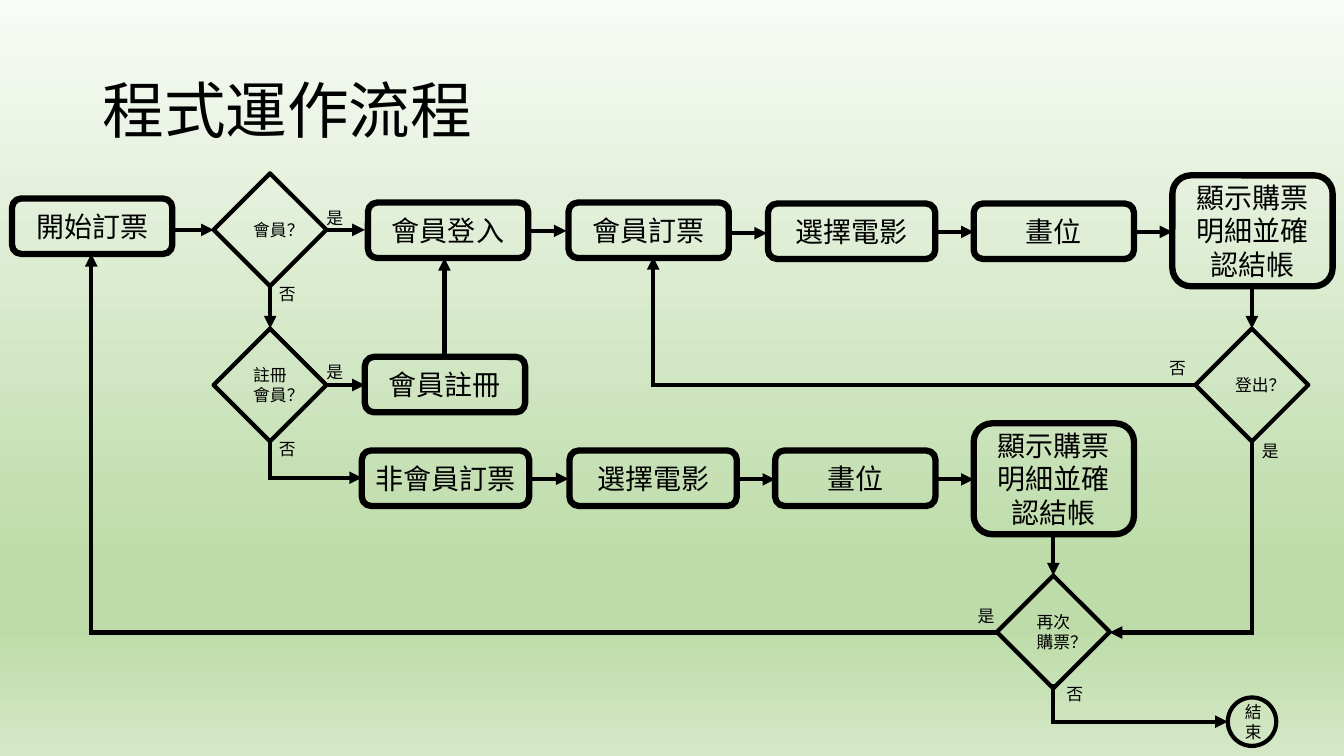
from dataclasses import dataclass
from itertools import pairwise

from lxml.etree import SubElement
from pptx import Presentation
from pptx.dml.color import RGBColor
from pptx.enum.shapes import MSO_CONNECTOR as CONN, MSO_SHAPE as SHAPE
from pptx.enum.text import MSO_ANCHOR as ANCHOR, MSO_AUTO_SIZE as AUTO, PP_ALIGN as ALIGN
from pptx.oxml.ns import qn
from pptx.util import Pt

COLORS = {"ink": "000000", "top": "F8FBF6", "green": "BEDCAA", "bottom": "D4E8C6"}
INK = RGBColor.from_string(COLORS["ink"])
BACKDROP = [(0, "top"), (74, "green"), (83, "green"), (100, "bottom")]

NARROW, WIDE = 114.5, 119.5
LOW, TALL = 39.6, 79.2
DIAMOND, CIRCLE = 80.6, 34.6
LABEL_W, LABEL_H = 30.2, 21.6


@dataclass
class Node:
    text: str
    x: float
    y: float
    w: float = NARROW
    h: float = LOW
    kind: SHAPE = SHAPE.ROUNDED_RECTANGLE
    size: float = 20
    line: float = 4.5


@dataclass
class Label:
    text: str
    x: float
    y: float


@dataclass
class Flow:
    points: list[tuple[float, float]]


def decision(text: str, x: float, y: float) -> Node:
    return Node(text, x, y, DIAMOND, DIAMOND, SHAPE.DIAMOND, 12, 3)


CHECKOUT = "顯示購票明細並確認結帳"

NODES = [
    Node("開始訂票", 8.6, 141.8),
    Node("會員登入", 262.8, 144.7),
    Node("會員訂票", 406.1, 144.7),
    Node("選擇電影", 548.6, 145.4, WIDE),
    Node("畫位", 695.5, 145.4),
    Node(CHECKOUT, 837.4, 125.3, h=TALL),
    Node("會員註冊", 260.6, 254.9),
    Node("非會員訂票", 258.5, 321.8, WIDE),
    Node("選擇電影", 406.8, 321.8, WIDE),
    Node("畫位", 553.7, 321.8),
    Node(CHECKOUT, 695.5, 302.4, h=TALL),
    decision("會員？", 152.6, 123.8),
    decision("註冊會員？", 152.6, 234.7),
    decision("登出？", 853.9, 234.7),
    decision("再次購票？", 712.1, 411.1),
    Node("結束", 877, 498.2, CIRCLE, CIRCLE, SHAPE.OVAL, 12, 3),
]

LABELS = [
    Label("是", 226.1, 144.7),
    Label("否", 192.2, 199.4),
    Label("是", 226.1, 254.9),
    Label("否", 192.2, 309.6),
    Label("是", 894.2, 311),
    Label("是", 691.2, 429.1),
    Label("否", 828, 252),
    Label("否", 754.6, 484.6),
]

FLOWS = [
    Flow([(124.6, 164.2), (152.6, 164.2)]),
    Flow([(232.6, 164.2), (260.6, 164.2)]),
    Flow([(376.6, 164.9), (404.6, 164.9)]),
    Flow([(519.8, 166.6), (547.9, 166.6)]),
    Flow([(667.4, 165.6), (695.5, 165.6)]),
    Flow([(809.3, 165.6), (837.4, 165.6)]),
    Flow([(193, 204.5), (193, 234.7)]),
    Flow([(232.6, 275), (260.6, 275)]),
    Flow([(317.5, 256.3), (317.5, 184.3)]),
    Flow([(193, 314.6), (193, 341.3), (258.5, 341.3)]),
    Flow([(378, 342), (406.1, 342)]),
    Flow([(525.6, 342.4), (553.7, 342.4)]),
    Flow([(667.4, 342.4), (695.5, 342.4)]),
    Flow([(752.4, 381.6), (752.4, 411.1)]),
    Flow([(894.2, 204.5), (894.2, 234.7)]),
    Flow([(712.1, 451.8), (65.2, 451.8), (65.2, 181.4)]),
    Flow([(853.9, 275), (466.6, 275), (466.6, 183.6)]),
    Flow([(894.2, 314.6), (894.2, 451.8), (792.7, 451.8)]),
    Flow([(752.4, 490.3), (752.4, 515.5), (877, 515.5)]),
]


def set_all(target: object, values: dict) -> None:
    for name, value in values.items():
        setattr(target, name, value)


def write(shape, text: str, size: float, frame: dict, para: dict, outlined: bool = False) -> None:
    tf = shape.text_frame
    set_all(tf, frame)
    p = tf.paragraphs[0]
    set_all(p, para)
    r = p.add_run()
    r.text = text
    set_all(r.font, {"name": "Calibri", "size": Pt(size)})
    r.font.color.rgb = INK
    if outlined:
        ln = r.font._element.makeelement(qn("a:ln"), {"w": str(Pt(0.75))})
        fill = SubElement(ln, qn("a:solidFill"))
        SubElement(fill, qn("a:srgbClr"), val=COLORS["ink"])
        r.font._element.insert(0, ln)


def paint_background(s) -> None:
    fill = s.background.fill
    fill.gradient()
    fill.gradient_angle = 270
    stops = next(s._element.iter(qn("a:gsLst")))
    for stop in list(stops):
        stops.remove(stop)
    for pos, color in BACKDROP:
        stop = SubElement(stops, qn("a:gs"), pos=str(pos * 1000))
        SubElement(stop, qn("a:srgbClr"), val=COLORS[color])


def draw_node(shapes, node: Node) -> None:
    sp = shapes.add_shape(node.kind, Pt(node.x), Pt(node.y), Pt(node.w), Pt(node.h))
    sp.shadow.inherit = False
    sp.fill.background()
    sp.line.color.rgb = INK
    sp.line.width = Pt(node.line)
    frame = {"word_wrap": True, "vertical_anchor": ANCHOR.MIDDLE}
    write(sp, node.text, node.size, frame, {"alignment": ALIGN.CENTER}, outlined=True)


def draw_label(shapes, label: Label) -> None:
    sp = shapes.add_textbox(Pt(label.x), Pt(label.y), Pt(LABEL_W), Pt(LABEL_H))
    frame = {"word_wrap": True, "auto_size": AUTO.SHAPE_TO_FIT_TEXT}
    write(sp, label.text, 12, frame, {"alignment": ALIGN.LEFT})


def draw_flow(shapes, flow: Flow) -> None:
    for start, end in pairwise(flow.points):
        cx = shapes.add_connector(CONN.STRAIGHT, *map(Pt, start + end))
        cx.line.color.rgb = INK
        cx.line.width = Pt(3)
        SubElement(cx._element.spPr, qn("a:effectLst"))
        ln = cx.line._get_or_add_ln()
        if end == flow.points[-1]:
            SubElement(ln, qn("a:tailEnd"), type="triangle")
        else:
            ln.set("cap", "sq")


def main() -> None:
    prs = Presentation()
    set_all(prs, {"slide_width": Pt(960), "slide_height": Pt(540)})
    s = prs.slides.add_slide(prs.slide_layouts[5])
    paint_background(s)

    title = s.shapes.title
    set_all(title, {"left": Pt(66), "top": Pt(28.8), "width": Pt(828), "height": Pt(104.4)})
    frame = {"word_wrap": True, "auto_size": AUTO.NONE, "vertical_anchor": ANCHOR.MIDDLE}
    write(title, "程式運作流程", 44, frame, {"alignment": ALIGN.LEFT, "line_spacing": 0.9})

    chart = s.shapes.add_group_shape().shapes
    for draw, items in ((draw_node, NODES), (draw_flow, FLOWS), (draw_label, LABELS)):
        for item in items:
            draw(chart, item)

    prs.save("out.pptx")


if __name__ == "__main__":
    main()
